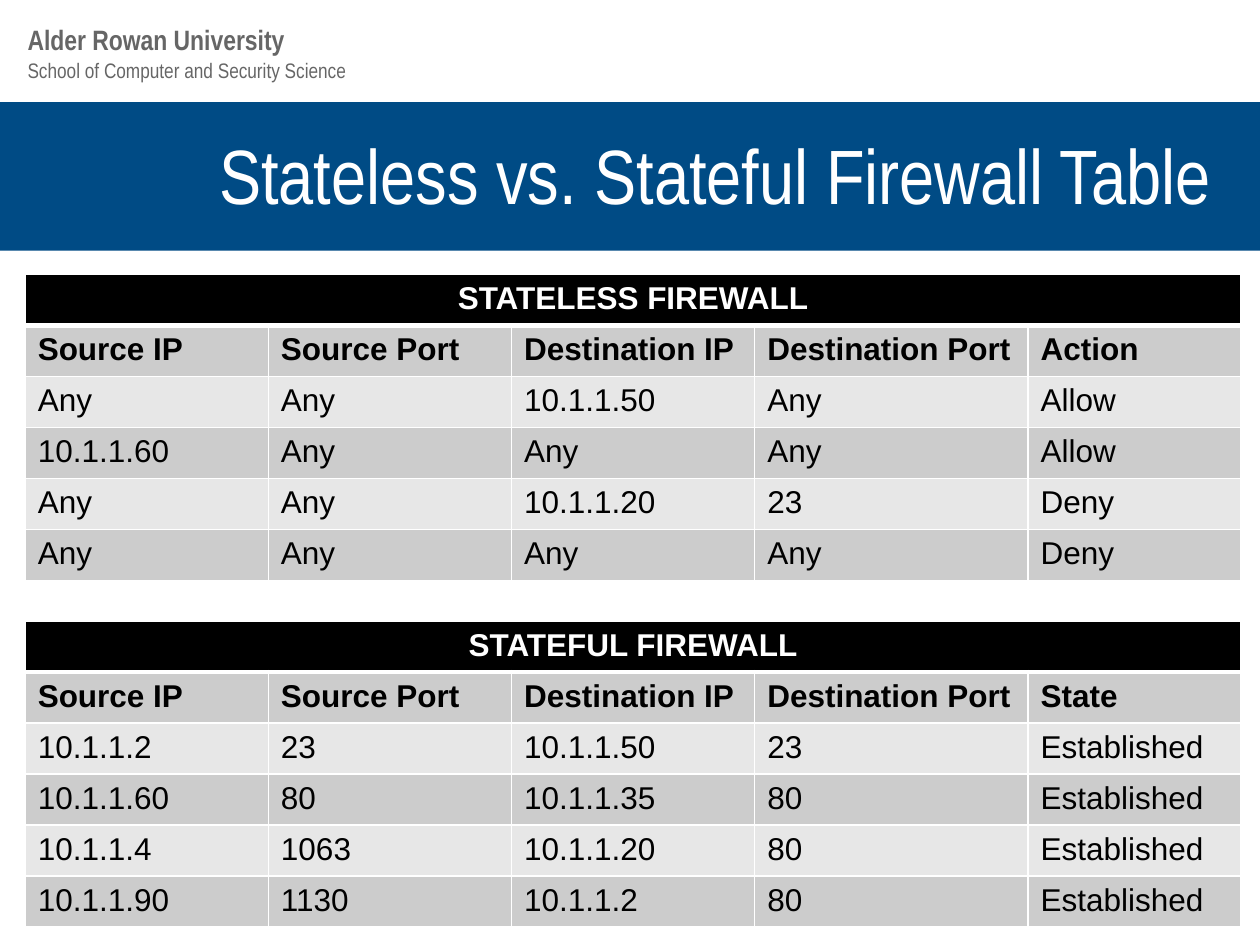
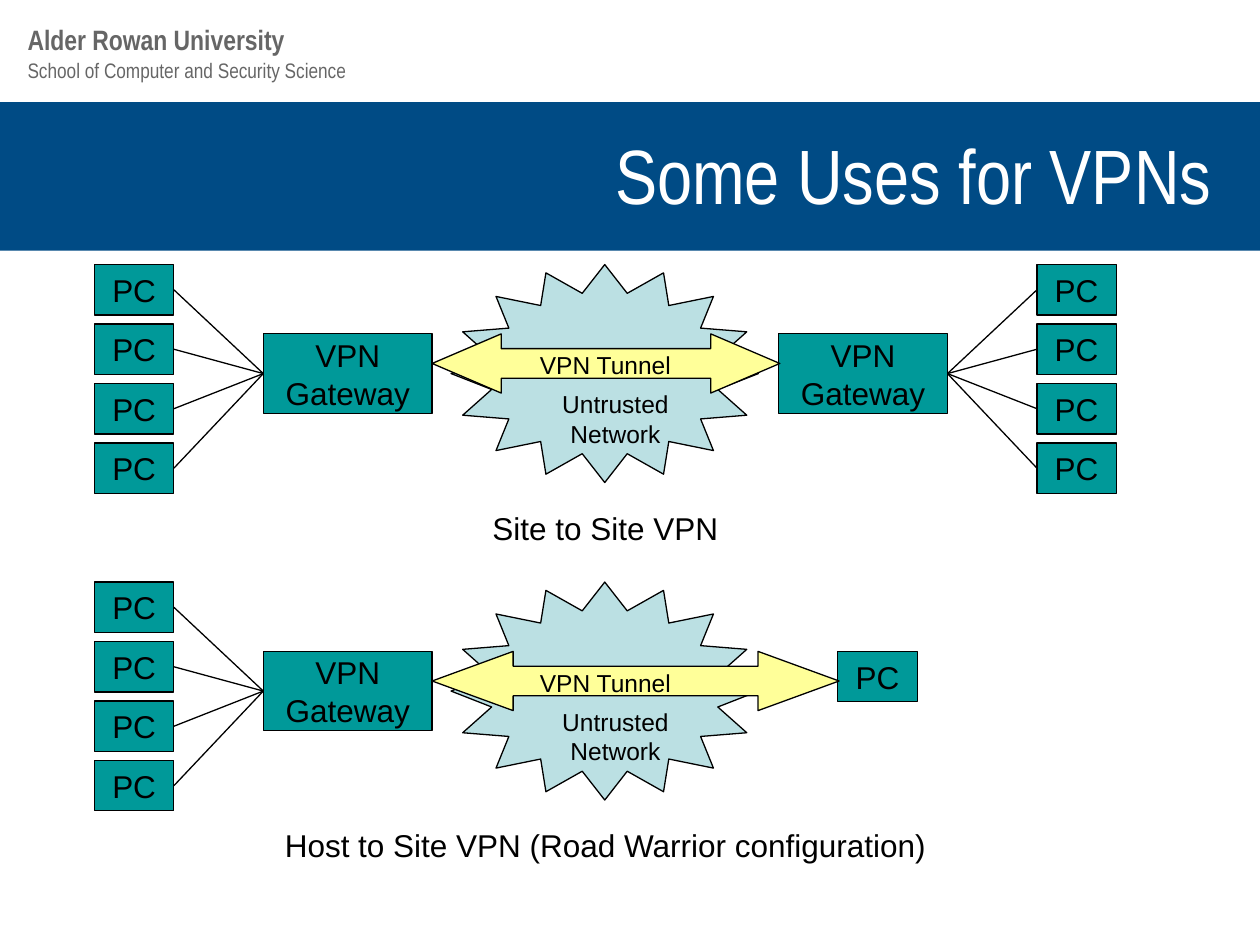
"""Build two slides on firewall tables and uses for VPNs."""
import pptx
import pptx.util
import pptx.dml.color
import pptx.enum.shapes
import pptx.enum.text
import pptx.oxml
import lxml.etree

Kind = pptx.enum.shapes.MSO_SHAPE
Side = pptx.enum.text.PP_ALIGN
Anchor = pptx.enum.text.MSO_ANCHOR
Fit = pptx.enum.text.MSO_AUTO_SIZE
Pt = pptx.util.Pt
RGB = pptx.dml.color.RGBColor.from_string
SPACE = "http://schemas.openxmlformats.org/drawingml/2006/main"
HUE = {
    "band": "004B85", "gray": "666666", "white": "FFFFFF", "black": "000000",
    "dark": "CCCCCC", "light": "E7E7E7", "teal": "009999", "star": "BBE0E3",
    "tunnel": "FFFF99",
}

deck = pptx.Presentation()
deck.slide_width = pptx.util.Inches(10)
deck.slide_height = pptx.util.Inches(7.5)
UNIT = deck.slide_width // 100


def write(frame, text, size, hue="black", face="Arial", bold=False, align=Side.CENTER):
    """Fill a text frame with one styled paragraph."""
    frame.word_wrap = True
    frame.text = text
    par = frame.paragraphs[0]
    par.alignment = align
    par.font.size = Pt(size)
    par.font.name = face
    par.font.bold = bold
    par.font.color.rgb = RGB(HUE[hue])


def draw(slide, kind, spot, hue, text="", edge=True):
    """Add a flat shape at a grid spot."""
    shape = slide.shapes.add_shape(kind, *[int(n * UNIT) for n in spot])
    shape.shadow.inherit = False
    shape.fill.solid()
    shape.fill.fore_color.rgb = RGB(HUE[hue])
    if edge:
        shape.line.color.rgb = RGB(HUE["black"])
        shape.line.width = Pt(0.75)
    else:
        shape.line.fill.background()
    if text:
        write(shape.text_frame, text, 18)
    return shape


slides = []
for name in ["Stateless vs. Stateful Firewall Table", "Some Uses for VPNs"]:
    slide = deck.slides.add_slide(deck.slide_layouts[5])
    slides.append(slide)
    title = slide.shapes.title
    title.left, title.top, title.width, title.height = [
        int(n * UNIT) for n in (2.7, 8.3, 94.5, 10.9)]
    write(title.text_frame, name, 44, "white", "Arial Narrow", align=Side.RIGHT)
    title.text_frame.auto_size = Fit.NONE
    title.text_frame.vertical_anchor = Anchor.MIDDLE
    band = draw(slide, Kind.RECTANGLE, (0, 8.1, 100, 11.8), "band", edge=False)
    title.element.addprevious(band.element)
    for text, top, high, size, bold in [
            ("School of Computer and Security Science", 4.1, 3, 12, False),
            ("Alder Rowan University", 1.3, 3.7, 16, True)]:
        head = slide.shapes.add_textbox(*[int(n * UNIT) for n in (1.2, top, 58.9, high)])
        write(head.text_frame, text, size, "gray", "Arial Narrow", bold, Side.LEFT)

fields = ["Source IP", "Source Port", "Destination IP", "Destination Port"]
tables = [
    ("STATELESS FIREWALL", 21.8, [
        fields + ["Action"],
        ["Any", "Any", "10.1.1.50", "Any", "Allow"],
        ["10.1.1.60", "Any", "Any", "Any", "Allow"],
        ["Any", "Any", "10.1.1.20", "23", "Deny"],
        ["Any", "Any", "Any", "Any", "Deny"]]),
    ("STATEFUL FIREWALL", 49.3, [
        fields + ["State"],
        ["10.1.1.2", "23", "10.1.1.50", "23", "Established"],
        ["10.1.1.60", "80", "10.1.1.35", "80", "Established"],
        ["10.1.1.4", "1063", "10.1.1.20", "80", "Established"],
        ["10.1.1.90", "1130", "10.1.1.2", "80", "Established"]]),
]
for name, top, data in tables:
    spot = [int(n * UNIT) for n in (2, top, 96.5, 24.3)]
    grid = slides[0].shapes.add_table(6, 5, *spot).table
    grid.first_row = grid.horz_banding = False
    for col, wide in zip(grid.columns, (19.3, 19.3, 19.3, 21.7, 16.9)):
        col.width = int(wide * UNIT)
    for r, row in enumerate([[name, "", "", "", ""]] + data):
        for c, text in enumerate(row):
            cell = grid.cell(r, c)
            props = cell._tc.get_or_add_tcPr()
            for side in "LRTB":
                thick = 3 if (r, side) in [(0, "B"), (1, "T")] else 1
                props.append(pptx.oxml.parse_xml(
                    f'<a:ln{side} xmlns:a="{SPACE}" w="{Pt(thick)}"><a:solidFill>'
                    f'<a:srgbClr val="{HUE["white"]}"/></a:solidFill></a:ln{side}>'))
            cell.fill.solid()
            hue = "black" if r == 0 else "dark" if r % 2 else "light"
            cell.fill.fore_color.rgb = RGB(HUE[hue])
            if text:
                write(cell.text_frame, text, 18, "black" if r else "white",
                      bold=r < 2, align=Side.LEFT if r else Side.CENTER)
    grid.cell(0, 0).merge(grid.cell(0, 4))

slide = slides[1]
LEFT = (7.5, 20.9, 3, 1)
RIGHT = (82.3, 61.8, 1, 3)
plans = [
    (21, [LEFT, RIGHT], 27.6, 1.167, "Site to Site VPN"),
    (46.2, [LEFT], 32.3, 1.368, "Host to Site VPN (Road Warrior configuration)"),
]
for top, sites, wide, tip, name in plans:
    for edge, gate, start, end in sites:
        hub = draw(slide, Kind.RECTANGLE, (gate, top + 5.5, 13.4, 6.3), "teal", "VPN Gateway")
        for k in range(4):
            host = draw(slide, Kind.RECTANGLE, (edge, top + 4.72 * k, 6.3, 4), "teal", "PC")
            wire = slide.shapes.add_connector(
                pptx.enum.shapes.MSO_CONNECTOR.STRAIGHT, 0, 0, 0, 0)
            wire.begin_connect(host, start)
            wire.end_connect(hub, end)
            wire.line.color.rgb = RGB(HUE["black"])
            wire.line.width = Pt(0.75)
            lxml.etree.SubElement(wire.element.spPr, f"{{{SPACE}}}effectLst")
    if len(sites) == 1:
        draw(slide, Kind.RECTANGLE, (66.5, top + 5.5, 6.3, 4), "teal", "PC")
    cloud = draw(slide, Kind.STAR_16_POINT, (35.8, top, 24.4, 17.3), "star")
    cloud.adjustments[0] = 0.375
    tunnel = draw(slide, Kind.LEFT_RIGHT_ARROW, (34.3, top + 5.5, wide, 4.7), "tunnel")
    tunnel.adjustments[0] = 0.5
    tunnel.adjustments[1] = tip
    for text, left, down, span, high, size in [
            ("VPN Tunnel", 39.8, 6.3, 16.5, 3.3, 14),
            ("Untrusted Network", 40.6, 9.4, 16.5, 5.7, 14),
            (name, 7.5, 18.9, 81.1, 4, 18)]:
        note = slide.shapes.add_textbox(
            *[int(n * UNIT) for n in (left, top + down, span, high)])
        write(note.text_frame, text, size)

deck.save("out.pptx")
